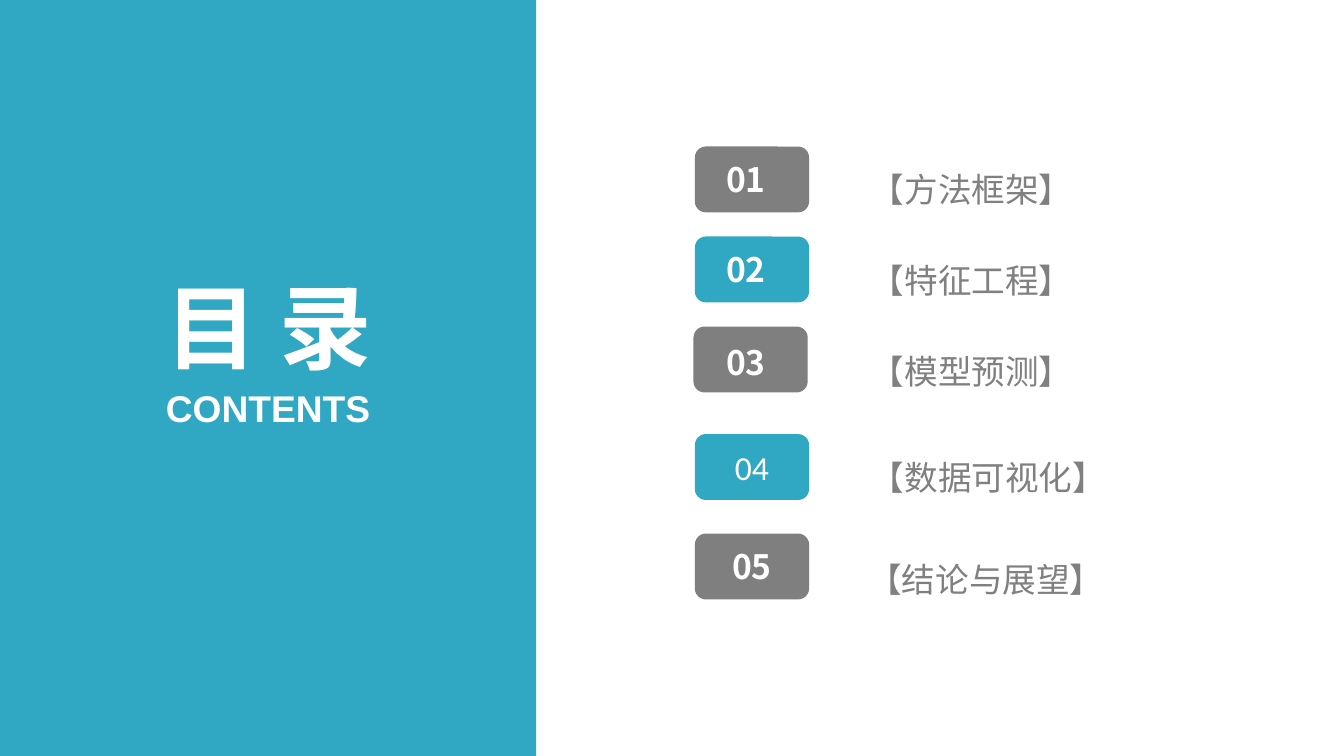
from dataclasses import dataclass
from lxml.etree import SubElement as Sub
from pptx import Presentation
from pptx.dml.color import RGBColor as Color
from pptx.enum.shapes import MSO_SHAPE as Kind
from pptx.enum.text import MSO_ANCHOR as Anchor, MSO_AUTO_SIZE as Auto, PP_ALIGN as Align
from pptx.oxml.ns import qn
from pptx.util import Inches, Pt


@dataclass
class Theme:
    teal: str = "30A8C4"
    gray: str = "7F7F7F"
    label: str = "808080"
    white: str = "FFFFFF"
    latin: str = "Arial"
    digit: str = "Calibri"
    cjk: str = "Noto Sans CJK SC"
    head: float = 49.5
    sub: float = 19.9
    body: float = 18


def write(shape, text, size, color, face, bold, align, pads):
    frame = shape.text_frame
    frame.text = text
    frame.margin_left, frame.margin_top, frame.margin_right, frame.margin_bottom = map(Inches, pads)
    para = frame.paragraphs[0]
    para.alignment = align
    font = para.runs[0].font
    font.size, font.bold, font.name = Pt(size), bold, face
    font.color.rgb = Color.from_string(color)
    Sub(para.runs[0].font._element, qn("a:ea")).set("typeface", theme.cjk)
    return frame


def block(kind, left, top, width, height, color):
    shape = slide.shapes.add_shape(kind, Inches(left), Inches(top), Inches(width), Inches(height))
    shape.shadow.inherit = False
    shape.fill.solid()
    shape.fill.fore_color.rgb = Color.from_string(color)
    shape.line.fill.background()
    return shape


theme = Theme()
deck = Presentation()
deck.slide_width = Inches(10)
deck.slide_height = Inches(10) * 9 // 16
slide = deck.slides.add_slide(deck.slide_layouts[5])

panel = block(Kind.RECTANGLE, 0, 0, 3.99, 5.62, theme.teal)
panel.height = deck.slide_height
title = slide.shapes.title
title.element.addprevious(panel.element)
title.left, title.top, title.width, title.height = map(Inches, (1.21, 2.01, 1.58, 0.83))
sub = slide.shapes.add_textbox(Inches(1.23), Inches(2.87), Inches(1.53), Inches(0.34))
for shape, text, size in ((title, "目 录", theme.head), (sub, "CONTENTS", theme.sub)):
    frame = write(shape, text, size, theme.white, theme.latin, True, Align.CENTER, (0, 0, 0, 0))
    frame.word_wrap = False
    frame.auto_size = Auto.SHAPE_TO_FIT_TEXT
    frame.vertical_anchor = Anchor.TOP

items = (
    ("方法框架", 5.17, 1.09, 6.41, 1.07, 0.16, 0.04),
    ("特征工程", 5.17, 1.76, 6.41, 1.74, 0.16, 0.04),
    ("模型预测", 5.16, 2.43, 6.41, 2.42, 0.14, 0.08),
    ("数据可视化", 5.17, 3.23, 6.41, 3.21, 0.07, 0.04),
    ("结论与展望", 5.17, 3.97, 6.39, 3.97, 0.07, 0.04),
)
for num, (name, left, top, x, y, right, drop) in enumerate(items, 1):
    badge = block(Kind.ROUNDED_RECTANGLE, left, top, 0.85, 0.49, theme.gray if num % 2 else theme.teal)
    plain = num == 4
    face = theme.digit if plain else theme.cjk
    frame = write(badge, f"{num:02}", theme.body, theme.white, face, not plain, Align.CENTER, (0.07, drop, right, 0.04))
    frame.vertical_anchor = Anchor.MIDDLE

    label = slide.shapes.add_textbox(Inches(x), Inches(y), Inches(2.84), Inches(0.53))
    frame = write(label, f"【{name}】", theme.body, theme.label, theme.cjk, False, Align.LEFT, (0.07, 0.04, 0.07, 0.04))
    frame.word_wrap = True
    frame.auto_size = Auto.SHAPE_TO_FIT_TEXT
    frame.paragraphs[0].line_spacing = 1.5
    frame.paragraphs[0].space_before = Pt(5.7)

deck.save("out.pptx")
